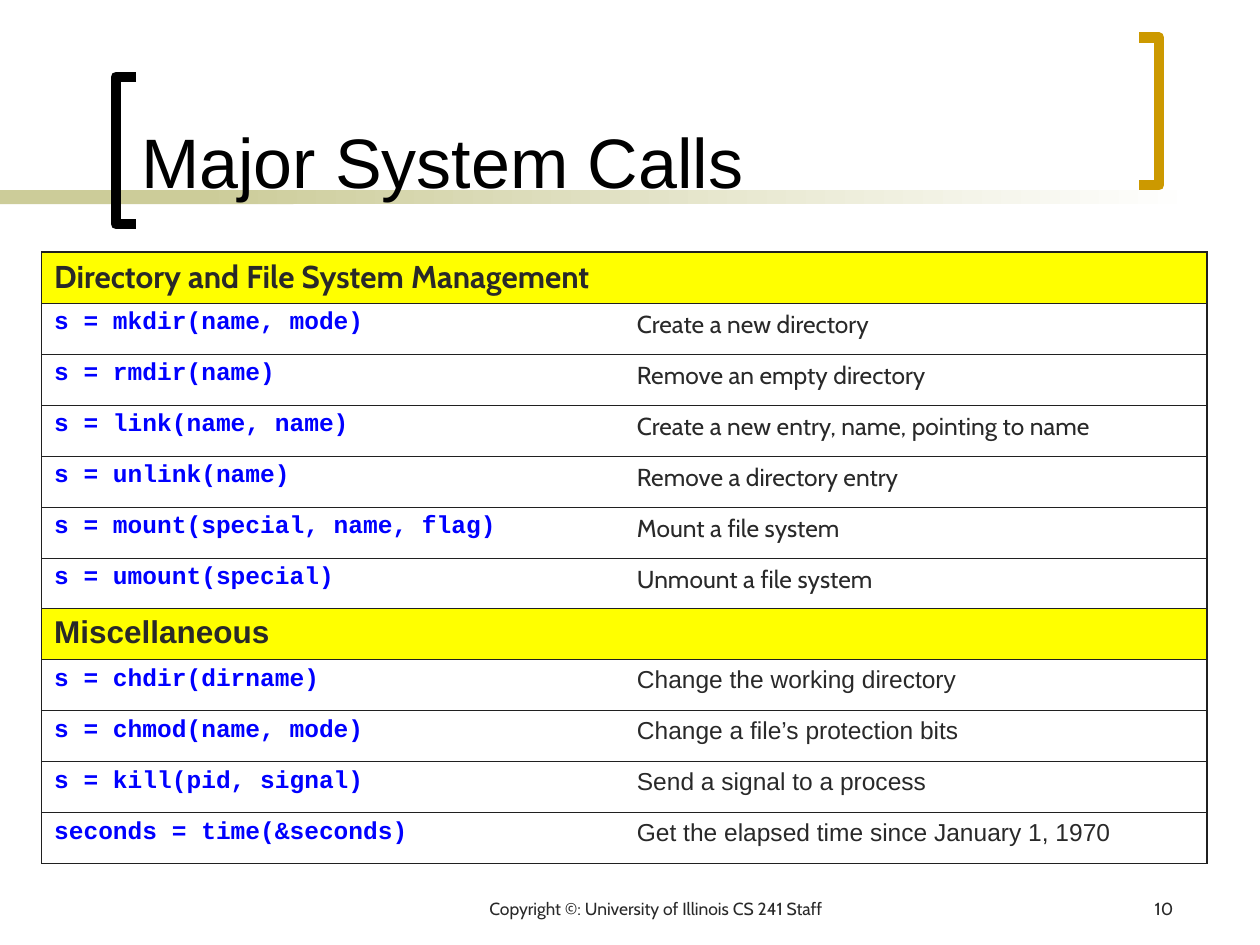
from dataclasses import dataclass

import lxml.etree
import pptx
import pptx.dml.color
import pptx.enum.shapes
import pptx.enum.text
import pptx.oxml.ns
import pptx.util

Inches = pptx.util.Inches
Align = pptx.enum.text.PP_ALIGN
Anchor = pptx.enum.text.MSO_ANCHOR


@dataclass(frozen=True)
class Theme:
    """Colours, fonts and type sizes of the slide."""
    black: str = "000000"
    white: str = "FFFFFF"
    ink: str = "292929"
    code: str = "0000FF"
    heading: str = "FFFF00"
    border: str = "202020"
    bar: str = "CCCC99"
    accent: str = "CC9900"
    sans: str = "Arial"
    body: str = "Cabin"
    mono: str = "Courier New"
    title_size: int = 40
    heading_size: int = 18
    cell_size: int = 14
    footer_size: int = 10


def rgb(color):
    """Turn a hex string into a colour."""
    return pptx.dml.color.RGBColor.from_string(color)


def write_text(frame, text, font, size, color, bold=False, align=Align.LEFT):
    """Write one formatted paragraph into a text frame."""
    frame.word_wrap = True
    paragraph = frame.paragraphs[0]
    paragraph.alignment = align
    run = paragraph.add_run()
    run.text = text
    run.font.name = font
    run.font.size = pptx.util.Pt(size)
    run.font.bold = bold
    run.font.color.rgb = rgb(color)


class SlideBuilder:
    """Holds the theme and the current slide."""

    def __init__(self, slide, theme):
        """Keep the slide and its theme."""
        self.slide = slide
        self.theme = theme

    def bar(self, left, top, width, height, end_color=None):
        """Draw a plain bar, or one fading to end_color."""
        shape = self.slide.shapes.add_shape(
            pptx.enum.shapes.MSO_SHAPE.RECTANGLE,
            Inches(left), Inches(top), Inches(width), Inches(height))
        shape.shadow.inherit = False
        shape.line.fill.background()
        if end_color is None:
            shape.fill.solid()
            shape.fill.fore_color.rgb = rgb(self.theme.bar)
            return
        shape.fill.gradient()
        shape.fill.gradient_angle = 0
        for stop, color in zip(shape.fill.gradient_stops, (self.theme.bar, end_color)):
            stop.color.rgb = rgb(color)

    def bracket(self, spine, tip, top, color, height=1.17):
        """Draw a square bracket from its spine towards its tips."""
        bottom = top + height
        builder = self.slide.shapes.build_freeform(Inches(tip), Inches(top))
        builder.add_line_segments(
            [(Inches(x), Inches(y)) for x, y in ((spine, top), (spine, bottom), (tip, bottom))],
            close=False)
        shape = builder.convert_to_shape()
        shape.shadow.inherit = False
        shape.fill.background()
        shape.line.color.rgb = rgb(color)
        shape.line.width = pptx.util.Pt(6)

    def title(self, text, left, top, width, height):
        """Place the title placeholder in front of the decoration."""
        shape = self.slide.shapes.title
        shape.left, shape.top = Inches(left), Inches(top)
        shape.width, shape.height = Inches(width), Inches(height)
        shape.text_frame.vertical_anchor = Anchor.BOTTOM
        shape.text_frame.auto_size = pptx.enum.text.MSO_AUTO_SIZE.NONE
        write_text(shape.text_frame, text, self.theme.sans, self.theme.title_size,
                   self.theme.black)
        self.slide.shapes.element.append(shape.element)

    def label(self, text, left, width, align):
        """Add a line of footer text."""
        shape = self.slide.shapes.add_textbox(
            Inches(left), Inches(7.08), Inches(width), Inches(0.25))
        write_text(shape.text_frame, text, self.theme.body, self.theme.footer_size,
                   self.theme.ink, align=align)

    def borders(self, cell, visible):
        """Draw the visible sides of a cell and hide the others."""
        properties = cell._tc.get_or_add_tcPr()
        for index, side in enumerate("LRTB"):
            line = lxml.etree.Element(pptx.oxml.ns.qn(f"a:ln{side}"), w="9525")
            if side in visible:
                fill = lxml.etree.SubElement(line, pptx.oxml.ns.qn("a:solidFill"))
                lxml.etree.SubElement(fill, pptx.oxml.ns.qn("a:srgbClr"), val=self.theme.border)
            else:
                lxml.etree.SubElement(line, pptx.oxml.ns.qn("a:noFill"))
            properties.insert(index, line)

    def call_table(self, heading, calls, top, font, row_height=0.405):
        """Add a table of calls under a merged heading row."""
        theme = self.theme
        row_count = len(calls) + 1
        table = self.slide.shapes.add_table(
            row_count, 2, Inches(0.33), Inches(top), Inches(9.25),
            Inches(row_height * row_count)).table
        table.horz_banding = False
        table.cell(0, 0).merge(table.cell(0, 1))
        write_text(table.cell(0, 0).text_frame, heading, font, theme.heading_size,
                   theme.ink, bold=True)
        for row, (call, meaning) in enumerate(calls, start=1):
            write_text(table.cell(row, 0).text_frame, call, theme.mono, theme.cell_size,
                       theme.code, bold=True)
            write_text(table.cell(row, 1).text_frame, meaning, font, theme.cell_size, theme.ink)
        for row in range(row_count):
            table.rows[row].height = Inches(row_height)
            for column, side in enumerate("LR"):
                cell = table.cell(row, column)
                if row == 0:
                    cell.fill.solid()
                    cell.fill.fore_color.rgb = rgb(theme.heading)
                else:
                    cell.fill.background()
                self.borders(cell, "LRTB" if row == 0 else side + "TB")


FILE_CALLS = [
    ("s = mkdir(name, mode)", "Create a new directory"),
    ("s = rmdir(name)", "Remove an empty directory"),
    ("s = link(name, name)", "Create a new entry, name, pointing to name"),
    ("s = unlink(name)", "Remove a directory entry"),
    ("s = mount(special, name, flag)", "Mount a file system"),
    ("s = umount(special)", "Unmount a file system"),
]
OTHER_CALLS = [
    ("s = chdir(dirname)", "Change the working directory"),
    ("s = chmod(name, mode)", "Change a file’s protection bits"),
    ("s = kill(pid, signal)", "Send a signal to a process"),
    ("seconds = time(&seconds)", "Get the elapsed time since January 1, 1970"),
]


def main():
    """Build and save the slide."""
    theme = Theme()
    presentation = pptx.Presentation()
    presentation.slide_width, presentation.slide_height = Inches(10), Inches(7.5)
    slide = presentation.slides.add_slide(presentation.slide_layouts[5])
    builder = SlideBuilder(slide, theme)
    builder.bar(0, 1.51, 2.33, 0.11)
    builder.bar(1.58, 1.51, 7.92, 0.11, end_color=theme.white)
    builder.bracket(0.92, 1.08, 0.61, theme.black)
    builder.bracket(9.2, 9.04, 0.3, theme.accent)
    builder.call_table("Directory and File System Management", FILE_CALLS, 2, theme.body)
    builder.title("Major System Calls", 1.02, 0.11, 7.83, 1.55)
    builder.call_table("Miscellaneous", OTHER_CALLS, 4.83, theme.sans)
    builder.label("Copyright ©: University of Illinois CS 241 Staff", 3.08, 4.25, Align.CENTER)
    builder.label("10", 7.33, 2.08, Align.RIGHT)
    presentation.save("out.pptx")


if __name__ == "__main__":
    main()
